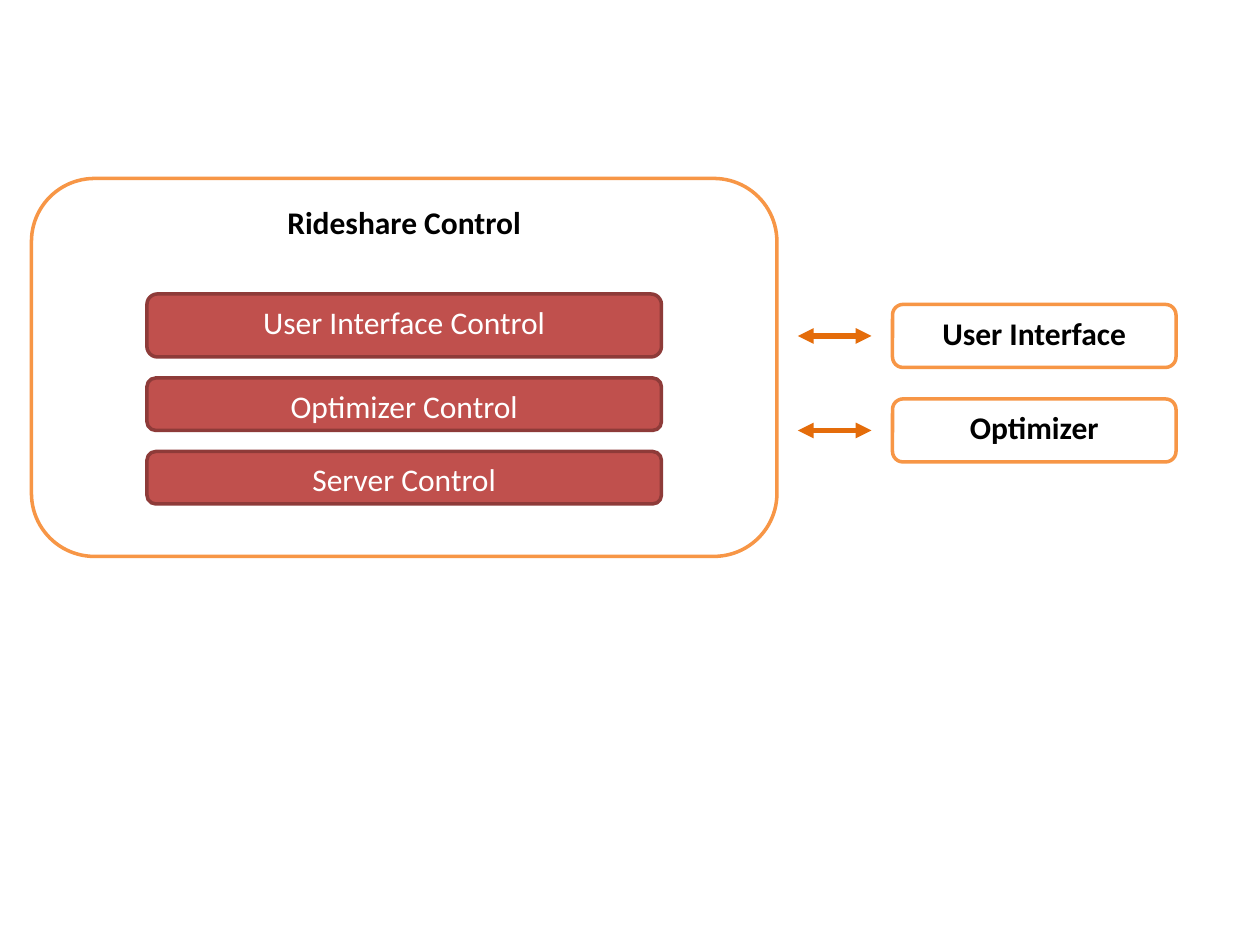
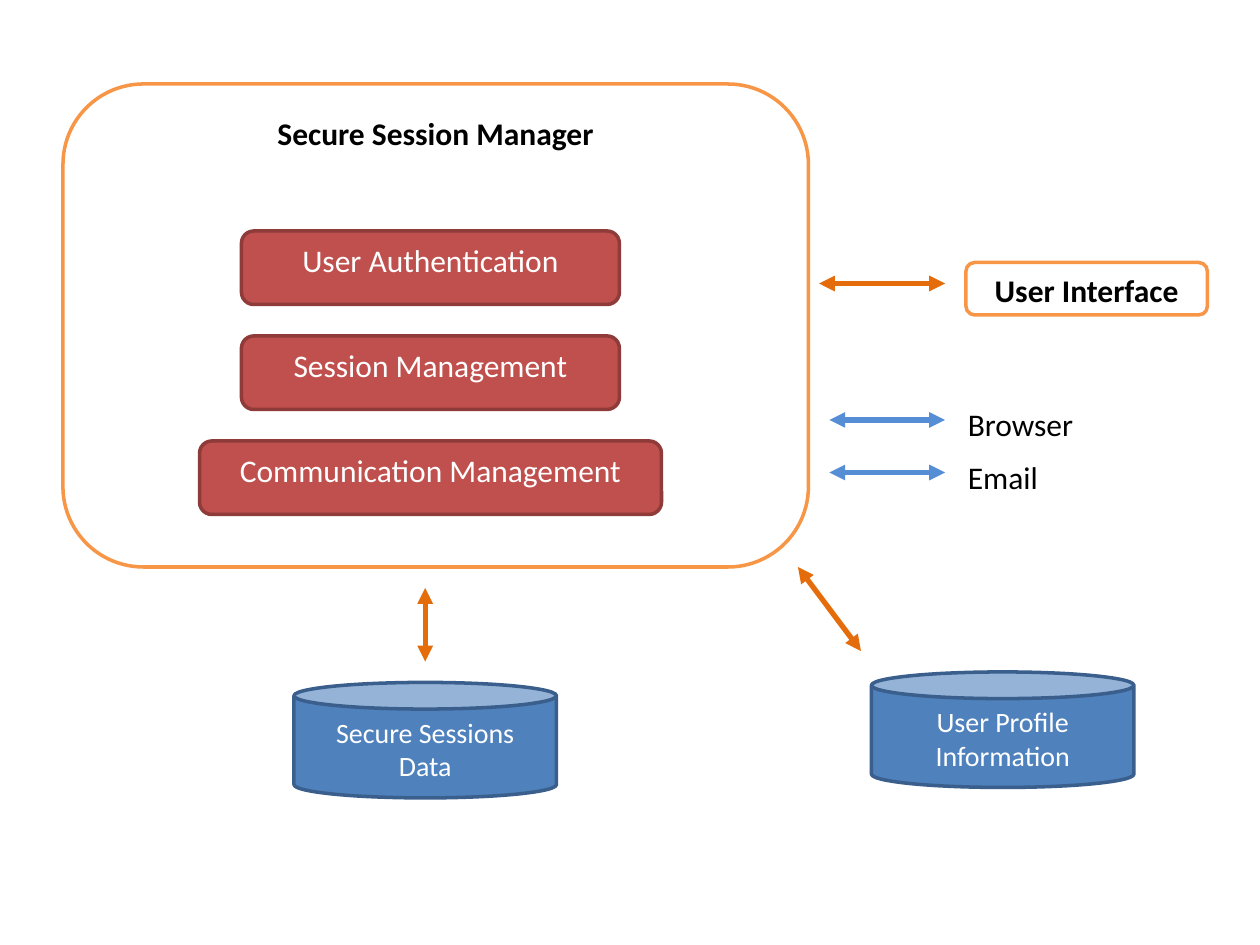
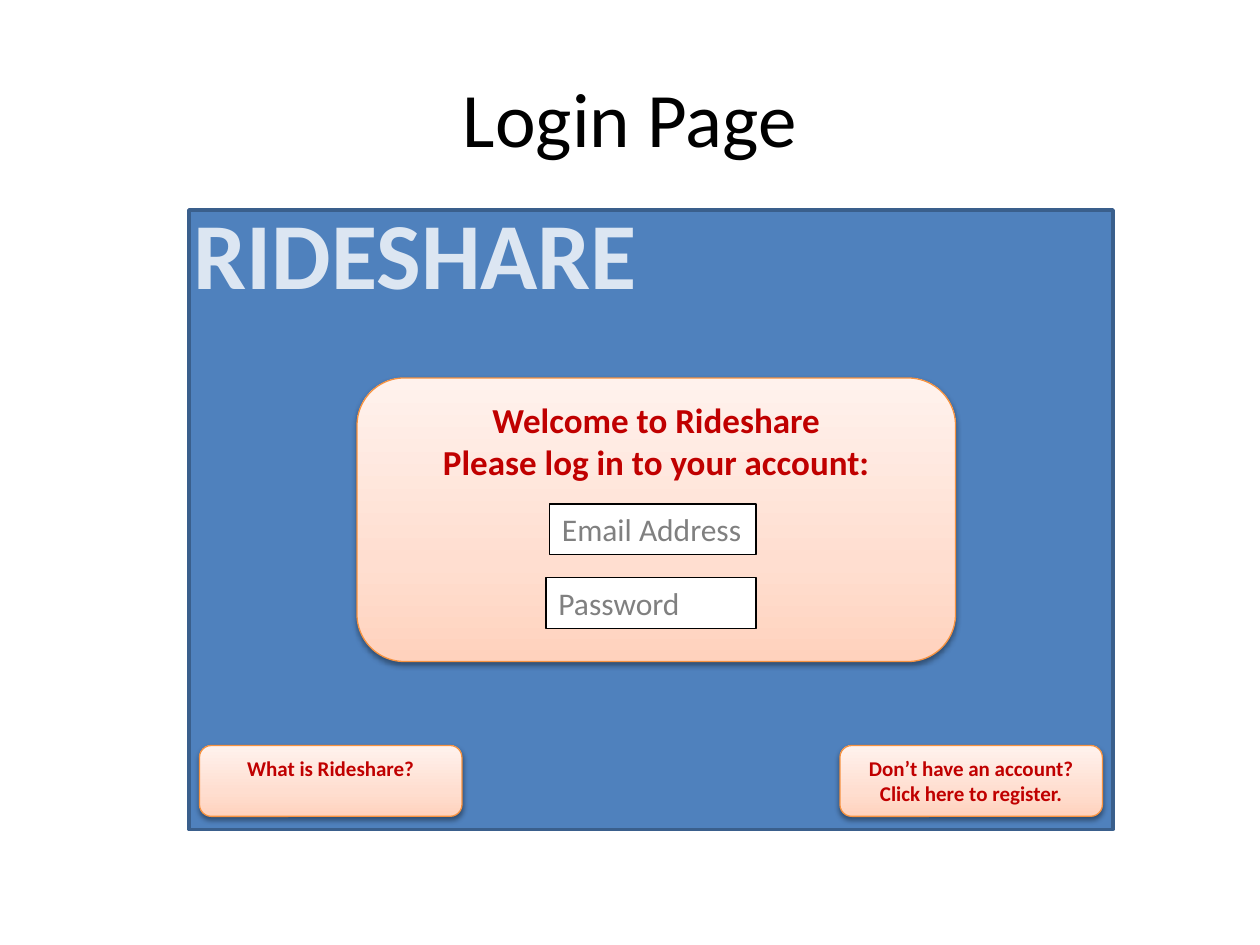
import pptx
import pptx.dml.color
import pptx.enum.shapes
import pptx.enum.text
import pptx.oxml
import pptx.oxml.ns
import pptx.util

Pt = pptx.util.Pt
RGB = pptx.dml.color.RGBColor.from_string
SHAPE = pptx.enum.shapes.MSO_SHAPE
ALIGN = pptx.enum.text.PP_ALIGN
ANCHOR = pptx.enum.text.MSO_ANCHOR
AUTO_SIZE = pptx.enum.text.MSO_AUTO_SIZE
qn = pptx.oxml.ns.qn
NAMESPACE = pptx.oxml.ns.nsdecls("a")

# Shared colours and styles
FONT = "Calibri"
COLORS = {
    "white": "FFFFFF", "black": "000000", "gray": "808080",
    "orange": "F79646", "dark_orange": "E46C0A", "button_line": "F69240",
    "red": "C0504D", "red_line": "8E3B39", "text_red": "C00000",
    "blue": "4F81BD", "blue_line": "3A5F8C", "light_blue": "558ED5",
    "pale_blue": "DCE6F2",
}
PEACH_STOPS = [(0, "FFD2BD"), (35, "FFDED0"), (100, "FFF2ED")]
PEACH = {"shape": SHAPE.ROUNDED_RECTANGLE, "fill": "peach", "line": "button_line",
         "width": 0.75, "color": "text_red", "bold": True}
STYLES = {
    "panel": {"shape": SHAPE.ROUNDED_RECTANGLE, "fill": "white", "line": "orange",
              "color": "black", "bold": True},
    "module": {"shape": SHAPE.ROUNDED_RECTANGLE, "fill": "red", "line": "red_line"},
    "database": {"shape": SHAPE.CAN, "fill": "blue", "line": "blue_line",
                 "size": 16, "adjustment": 0.231},
    "page": {"shape": SHAPE.RECTANGLE, "fill": "blue", "line": "blue_line"},
    "login": {**PEACH, "size": 20},
    "button": {**PEACH, "size": 12},
    "field": {"shape": SHAPE.RECTANGLE, "fill": "white", "line": "black",
              "width": 0.75, "color": "gray", "align": ALIGN.LEFT, "grow": True},
    "label": {"color": "black", "align": ALIGN.LEFT, "grow": True, "wrap": False},
    "banner": {"color": "pale_blue", "size": 54, "bold": True, "grow": True,
               "wrap": False},
}


def add_box(shapes, style_name, left, top, width, height, text=""):
    """Add a shape, or a text box if the style has no preset shape."""
    style = STYLES[style_name]
    place = [Pt(value) for value in (left, top, width, height)]
    if "shape" in style:
        shape = shapes.add_shape(style["shape"], *place)
        shape.shadow.inherit = False
        shape.line.color.rgb = RGB(COLORS[style["line"]])
        shape.line.width = Pt(style.get("width", 2))
        if "adjustment" in style:
            shape.adjustments[0] = style["adjustment"]
        if style["fill"] == "peach":
            # Three-stop gradient and soft shadow
            shape.fill.gradient()
            properties = shape.element.spPr
            stops = "".join(
                f'<a:gs pos="{position * 1000}"><a:srgbClr val="{color}"/></a:gs>'
                for position, color in PEACH_STOPS)
            properties.replace(properties.find(qn("a:gradFill")), pptx.oxml.parse_xml(
                f'<a:gradFill {NAMESPACE} rotWithShape="1"><a:gsLst>{stops}</a:gsLst>'
                '<a:lin ang="16200000" scaled="0"/></a:gradFill>'))
            properties.find(qn("a:effectLst")).append(pptx.oxml.parse_xml(
                f'<a:outerShdw {NAMESPACE} blurRad="{Pt(3.1)}" dist="{Pt(1.6)}" '
                'dir="5400000" rotWithShape="0"><a:srgbClr val="000000">'
                '<a:alpha val="38000"/></a:srgbClr></a:outerShdw>'))
        else:
            shape.fill.solid()
            shape.fill.fore_color.rgb = RGB(COLORS[style["fill"]])
    else:
        shape = shapes.add_textbox(*place)
    if not text:
        return
    frame = shape.text_frame
    frame.text = text
    frame_format = {
        "word_wrap": style.get("wrap", True), "vertical_anchor": ANCHOR.TOP,
        "auto_size": AUTO_SIZE.SHAPE_TO_FIT_TEXT if style.get("grow") else AUTO_SIZE.NONE}
    for name, value in frame_format.items():
        setattr(frame, name, value)
    font_format = {"name": FONT, "size": Pt(style.get("size", 18)),
                   "bold": style.get("bold", False)}
    for paragraph in frame.paragraphs:
        paragraph.alignment = style.get("align", ALIGN.CENTER)
        for run in paragraph.runs:
            for name, value in font_format.items():
                setattr(run.font, name, value)
            run.font.color.rgb = RGB(COLORS[style.get("color", "white")])


def add_arrow(shapes, start, end, color="dark_orange"):
    """Add a line with arrowheads at both ends."""
    connector = shapes.add_connector(
        pptx.enum.shapes.MSO_CONNECTOR.STRAIGHT, *[Pt(value) for value in (*start, *end)])
    connector.line.color.rgb = RGB(COLORS[color])
    connector.line.width = Pt(3)
    line = connector.line._get_or_add_ln()
    for end_name in ("headEnd", "tailEnd"):
        line.append(pptx.oxml.parse_xml(f'<a:{end_name} {NAMESPACE} type="triangle"/>'))
    connector.element.spPr.append(pptx.oxml.parse_xml(f"<a:effectLst {NAMESPACE}/>"))


presentation = pptx.Presentation()
presentation.slide_width = Pt(720)
presentation.slide_height = Pt(540)
title_only, blank = presentation.slide_layouts[5], presentation.slide_layouts[6]

# Slide 1: rideshare control
shapes = presentation.slides.add_slide(blank).shapes
add_box(shapes, "panel", 18, 102, 426, 216, "Rideshare Control")
for top, height, text in [(168, 36, "User Interface Control"),
                          (216, 30, "Optimizer Control"),
                          (258, 30, "Server Control")]:
    add_box(shapes, "module", 84, top, 294, height, text)
for top, text in [(174, "User Interface"), (228, "Optimizer")]:
    add_box(shapes, "panel", 510, top, 162, 36, text)
    add_arrow(shapes, (498, top + 18), (456, top + 18))

# Slide 2: secure session manager
shapes = presentation.slides.add_slide(blank).shapes
for top, width, text in [(228, 75, "Browser"), (258, 55, "Email")]:
    add_box(shapes, "label", 546, top, width, 29, text)
    add_arrow(shapes, (540, top + 12), (474, top + 12), "light_blue")
add_box(shapes, "panel", 36, 48, 426, 276, "Secure Session Manager")
modules = [(138, 216, "User Authentication"), (138, 216, "Session Management"),
           (114, 264, "Communication Management")]
for row, (left, width, text) in enumerate(modules):
    add_box(shapes, "module", left, 132 + 60 * row, width, 42, text)
add_box(shapes, "panel", 552, 150, 138, 30, "User Interface")
for left, top, text in [(498, 384, "User Profile Information"),
                        (168, 390, "Secure Sessions\nData")]:
    add_box(shapes, "database", left, top, 150, 66, text)
for start, end in [((540, 162), (468, 162)), ((492, 372), (456, 324)),
                   ((243, 378), (243, 336))]:
    add_arrow(shapes, start, end)

# Slide 3: login page
slide = presentation.slides.add_slide(title_only)
shapes = slide.shapes
title = shapes.title
title_place = {"left": 36, "top": 21.6, "width": 648, "height": 90}
for name, value in title_place.items():
    setattr(title, name, Pt(value))
title.text_frame.text = "Login Page"
title.text_frame.vertical_anchor = ANCHOR.MIDDLE
paragraph = title.text_frame.paragraphs[0]
paragraph.alignment = ALIGN.CENTER
for name, value in {"name": FONT, "size": Pt(44)}.items():
    setattr(paragraph.font, name, value)
paragraph.font.color.rgb = RGB(COLORS["black"])

add_box(shapes, "page", 108, 120, 528, 354)

# Login form
form = shapes.add_group_shape().shapes
add_box(form, "login", 204, 216, 342, 162,
        "Welcome to Rideshare\nPlease log in to your account:")
for left, top, text in [(314, 288, "Email Address"), (312, 330, "Password")]:
    add_box(form, "field", left, top, 432 - left, 29, text)

# Banner and buttons
add_box(shapes, "banner", 102, 108, 271, 73, "RIDESHARE")
for left, text in [(480, "Don’t have an account?\nClick here to register."),
                   (114, "What is Rideshare?")]:
    add_box(shapes, "button", left, 426, 150, 40.5, text)

presentation.save("out.pptx")
